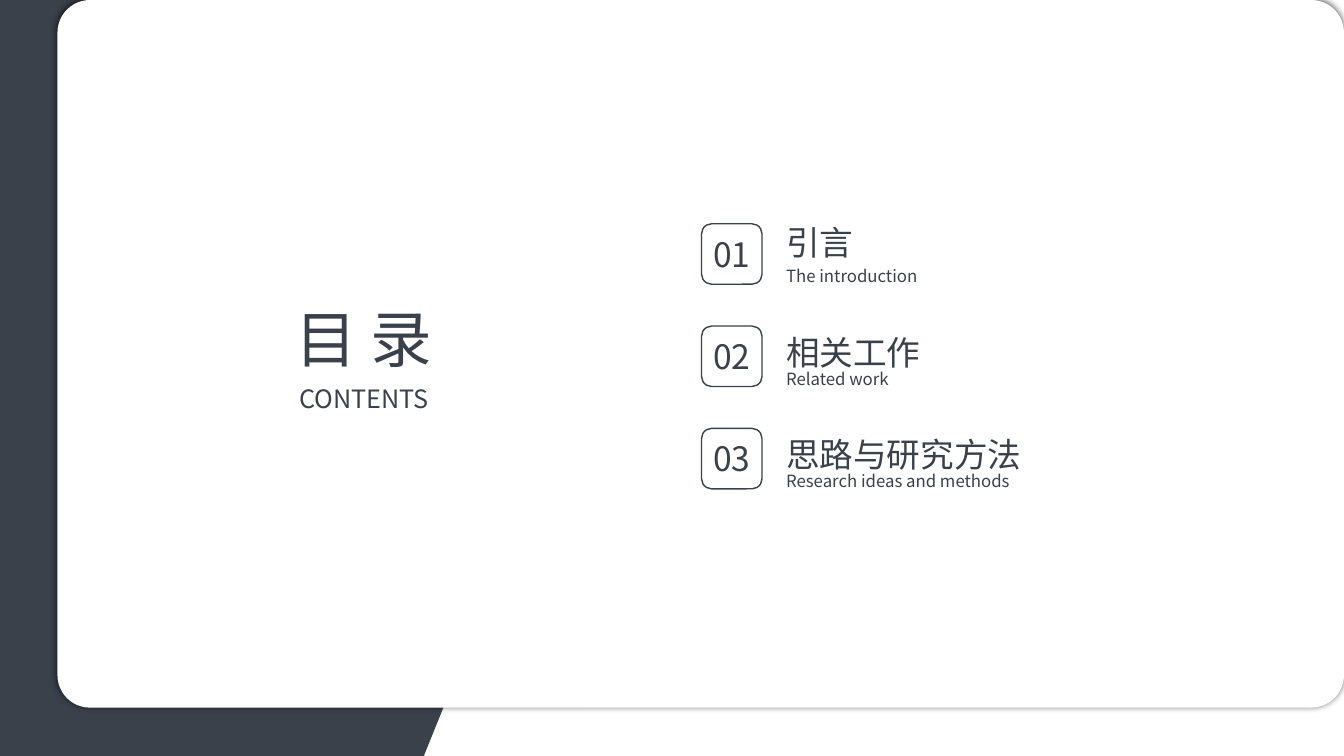
from dataclasses import dataclass

from lxml import etree
from pptx import Presentation
from pptx.dml.color import RGBColor
from pptx.enum.shapes import MSO_SHAPE
from pptx.enum.text import MSO_AUTO_SIZE, PP_ALIGN
from pptx.oxml.ns import qn
from pptx.shapes.autoshape import Shape
from pptx.slide import Slide
from pptx.util import Inches, Pt

RECTANGLE = MSO_SHAPE.RECTANGLE
ROUNDED = MSO_SHAPE.ROUNDED_RECTANGLE
LEFT, CENTER, JUSTIFY = PP_ALIGN.LEFT, PP_ALIGN.CENTER, PP_ALIGN.JUSTIFY
SLATE = RGBColor(0x3A, 0x41, 0x4B)
WHITE = RGBColor(0xFF, 0xFF, 0xFF)
BLACK = RGBColor(0x00, 0x00, 0x00)
FONT = "Noto Sans CJK SC"

SLIDE_WIDTH, SLIDE_HEIGHT = Inches(13.33), Inches(7.5)
COLUMN, ROW = SLIDE_WIDTH / 40, SLIDE_HEIGHT / 30
FRAME_FORMAT = {"word_wrap": True, "auto_size": MSO_AUTO_SIZE.SHAPE_TO_FIT_TEXT}

FIRST_CHAPTER_ROW, CHAPTER_PITCH = 8.88, 4.06
BADGE_COLUMN, NUMBER_COLUMN, HEADING_COLUMN = 20.88, 20.58, 23.1


@dataclass(frozen=True)
class Area:
    column: float
    row: float
    columns: float
    rows: float

    def emu(self) -> tuple[int, int, int, int]:
        return (round(self.column * COLUMN), round(self.row * ROW),
                round(self.columns * COLUMN), round(self.rows * ROW))


@dataclass(frozen=True)
class Label:
    text: str
    area: Area
    size: int
    alignment: PP_ALIGN = LEFT
    spacing: float = 1.0


@dataclass(frozen=True)
class Chapter:
    title: str
    subtitle: str
    spacing: float
    title_offset: float
    title_rows: float


CHAPTERS = [
    Chapter("引言", "The introduction", 1.0, -0.28, 2),
    Chapter("相关工作", "Related work", 1.75, -1.18, 3.24),
    Chapter("思路与研究方法", "Research ideas and methods", 1.75, -1.18, 3.24),
]
HEADINGS = [
    Label("CONTENTS", Area(8.61, 15, 4.95, 1.6), 18, JUSTIFY),
    Label("目 录", Area(8.49, 11.76, 5.28, 3.36), 44, JUSTIFY),
]


def add_label(slide: Slide, label: Label) -> None:
    frame = slide.shapes.add_textbox(*label.area.emu()).text_frame
    for attribute, value in FRAME_FORMAT.items():
        setattr(frame, attribute, value)
    paragraph = frame.paragraphs[0]
    paragraph_format = {"alignment": label.alignment, "line_spacing": label.spacing}
    for attribute, value in paragraph_format.items():
        setattr(paragraph, attribute, value)
    run = paragraph.add_run()
    run.text = label.text
    for attribute, value in {"name": FONT, "size": Pt(label.size)}.items():
        setattr(run.font, attribute, value)
    run.font.color.rgb = SLATE
    etree.SubElement(run.font._element, qn("a:ea"), typeface=FONT)


def add_panel(slide: Slide, preset: MSO_SHAPE, area: Area, color: RGBColor) -> Shape:
    panel = slide.shapes.add_shape(preset, *area.emu())
    panel.shadow.inherit = False
    panel.fill.solid()
    panel.fill.fore_color.rgb = color
    panel.line.fill.background()
    return panel


def add_glow(panel: Shape, blur: int, opacity: int) -> None:
    effects = panel._element.spPr.find(qn("a:effectLst"))
    shadow = etree.SubElement(effects, qn("a:outerShdw"), blurRad=str(blur),
                              dist="0", dir="0", algn="ctr", rotWithShape="0")
    color = etree.SubElement(shadow, qn("a:srgbClr"), val=str(BLACK))
    etree.SubElement(color, qn("a:alpha"), val=str(opacity * 1000))


def add_badge(slide: Slide, row: float) -> None:
    badge = slide.shapes.add_shape(ROUNDED, *Area(BADGE_COLUMN, row, 1.8, 2.4).emu())
    badge.shadow.inherit = False
    badge.fill.background()
    badge.line.color.rgb = SLATE
    badge.line.width = Pt(1)


def add_chapter(slide: Slide, index: int, chapter: Chapter) -> None:
    row = FIRST_CHAPTER_ROW + index * CHAPTER_PITCH
    add_badge(slide, row)
    title_area = Area(HEADING_COLUMN, row + chapter.title_offset, 12, chapter.title_rows)
    for label in (
        Label(f"{index + 1:02}", Area(NUMBER_COLUMN, row + 0.2, 2.4, 2), 24, CENTER),
        Label(chapter.title, title_area, 24, LEFT, chapter.spacing),
        Label(chapter.subtitle, Area(HEADING_COLUMN, row + 1.48, 12, 1.2), 12),
    ):
        add_label(slide, label)


def main() -> None:
    deck = Presentation()
    for attribute, value in {"slide_width": SLIDE_WIDTH, "slide_height": SLIDE_HEIGHT}.items():
        setattr(deck, attribute, value)
    slide = deck.slides.add_slide(deck.slide_layouts[6])

    backdrop = add_panel(slide, RECTANGLE, Area(-18.15, -23, 36.1, 61.44), SLATE)
    backdrop.rotation = 22
    card = add_panel(slide, ROUNDED, Area(1.71, 0, 38.29, 28.08), WHITE)
    card.adjustments[0] = 0.046
    add_glow(card, Pt(5), 68)

    for heading in HEADINGS:
        add_label(slide, heading)
    for index, chapter in enumerate(CHAPTERS):
        add_chapter(slide, index, chapter)
    deck.save("out.pptx")


if __name__ == "__main__":
    main()
